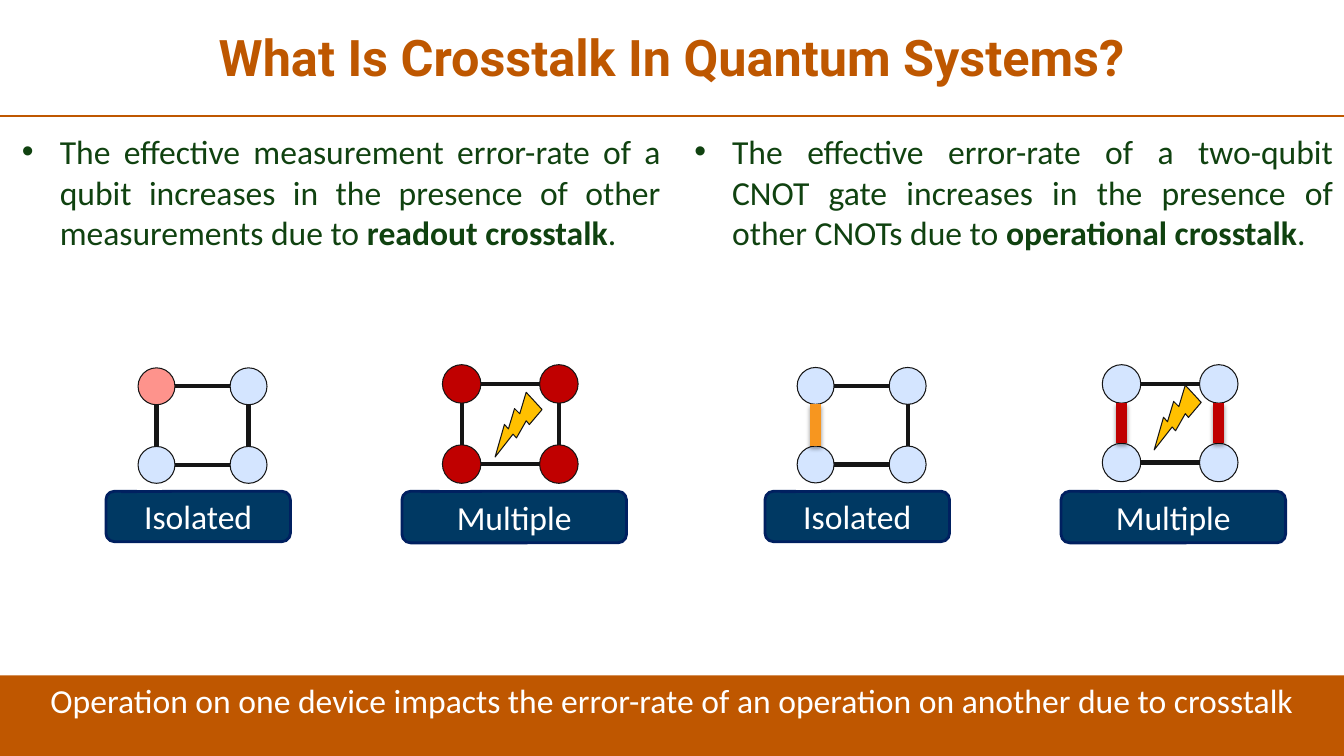
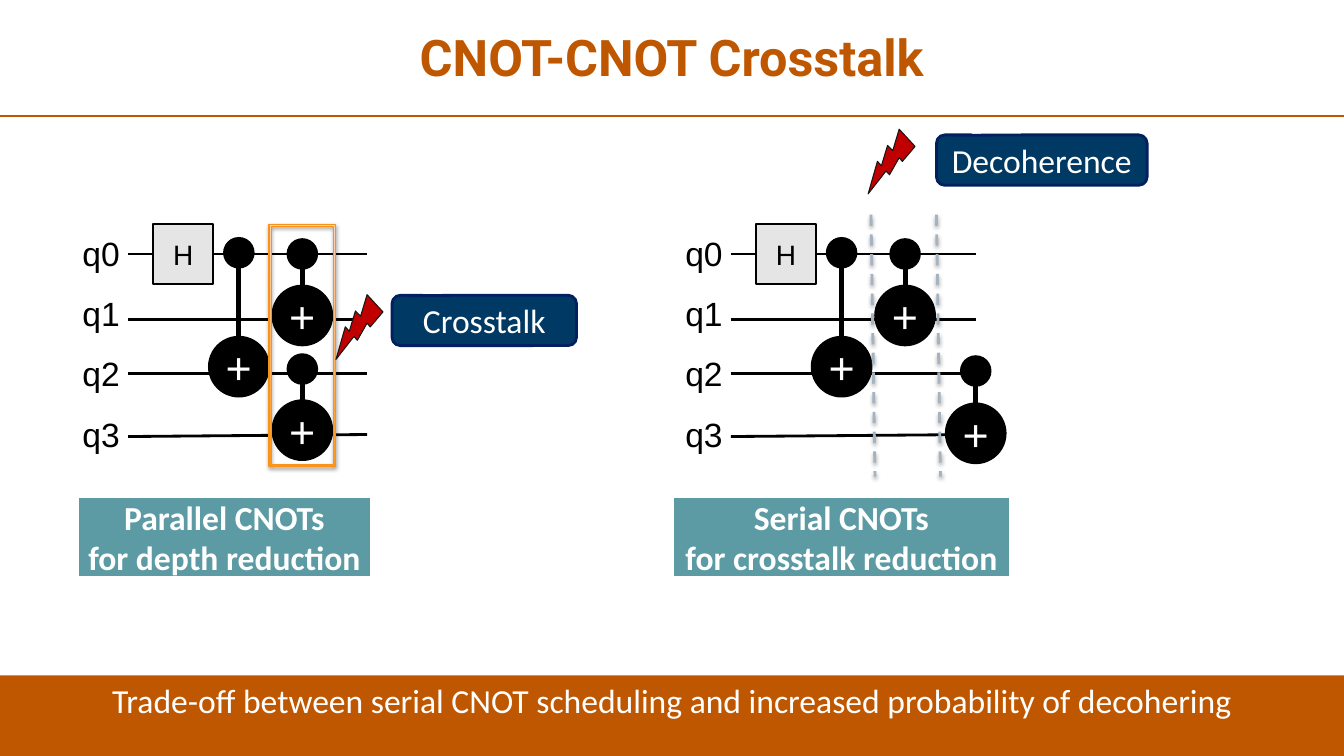
from dataclasses import dataclass
from typing import Optional

from lxml import etree
from pptx import Presentation
from pptx.dml.color import RGBColor
from pptx.enum.dml import MSO_LINE
from pptx.enum.shapes import MSO_CONNECTOR, MSO_SHAPE
from pptx.enum.text import MSO_ANCHOR, MSO_AUTO_SIZE, PP_ALIGN
from pptx.oxml.ns import qn
from pptx.util import Cm, Pt

STRAIGHT = MSO_CONNECTOR.STRAIGHT
DASH = MSO_LINE.DASH
RECT, OVAL, BOLT = MSO_SHAPE.RECTANGLE, MSO_SHAPE.OVAL, MSO_SHAPE.LIGHTNING_BOLT
FRAME, NOTE = MSO_SHAPE.FRAME, MSO_SHAPE.ROUNDED_RECTANGULAR_CALLOUT
TOP, MIDDLE = MSO_ANCHOR.TOP, MSO_ANCHOR.MIDDLE
LEFT, CENTER, JUSTIFY = PP_ALIGN.LEFT, PP_ALIGN.CENTER, PP_ALIGN.JUSTIFY
FIXED = MSO_AUTO_SIZE.NONE

WIDE, HIGH = 33.87, 19.05
RUST, TITLE, GREEN = "BF5700", "BE5700", "104210"
NAVY, EDGE, TEAL = "003963", "002060", "5C9BA4"
BLACK, INK, WHITE, GRAY = "000000", "151515", "FFFFFF", "E5E5E5"
PALE, PINK, RED = "D4E5FF", "FE938C", "C00000"
GOLD, AMBER, MIST = "FFC000", "F7961F", "A4B3BF"
SANS, PLAIN, HEAD = "Calibri", "Arial", "Roboto"


@dataclass
class Grid:
    left: float
    top: float
    size: float
    wide: float
    high: float
    dots: tuple[str, str, str, str] = (PALE,) * 4
    bars: tuple[Optional[str], Optional[str]] = (None, None)


@dataclass
class Panel:
    shift: float
    lead: str
    term: str
    lone: Grid
    many: Grid


@dataclass
class Gate:
    mid: float
    dot: float
    plus: float


@dataclass
class Track:
    shift: float
    end: float
    last: Gate


@dataclass
class Label:
    text: str
    left: float
    top: float
    wide: float
    high: float = 1.27


def tint(code: str) -> RGBColor:
    return RGBColor.from_string(code)


def style(para, face: str, size: int, hue: str, bold: bool = False) -> None:
    para.font.name = face
    para.font.size = Pt(size)
    para.font.bold = bold
    para.font.color.rgb = tint(hue)


def place(shape, left: float, top: float, wide: float, high: float) -> None:
    shape.left, shape.top = Cm(left), Cm(top)
    shape.width, shape.height = Cm(wide), Cm(high)


def shade(effects) -> None:
    drop = etree.SubElement(effects, qn("a:outerShdw"), blurRad=str(Pt(3.1)),
                            dist=str(Pt(1.6)), dir="5400000", rotWithShape="0")
    hue = etree.SubElement(drop, qn("a:srgbClr"), val=BLACK)
    etree.SubElement(hue, qn("a:alpha"), val="38000")


def link(slide, x1: float, y1: float, x2: float, y2: float, hue: str,
         width: float, dash: bool = False, glow: bool = False) -> None:
    line = slide.shapes.add_connector(STRAIGHT, Cm(x1), Cm(y1), Cm(x2), Cm(y2))
    line.line.color.rgb = tint(hue)
    line.line.width = Pt(width)
    if dash:
        line.line.dash_style = DASH
    effects = etree.SubElement(line.element.spPr, qn("a:effectLst"))
    if glow:
        shade(effects)


def draw(slide, kind, left: float, top: float, wide: float, high: float,
         fill: str, edge: Optional[str] = None, width: float = 1):
    shape = slide.shapes.add_shape(kind, Cm(left), Cm(top), Cm(wide), Cm(high))
    shape.shadow.inherit = False
    shape.fill.solid()
    shape.fill.fore_color.rgb = tint(fill)
    if edge:
        shape.line.color.rgb = tint(edge)
        shape.line.width = Pt(width)
    else:
        shape.line.fill.background()
    return shape


def write(shape, text: str, size: int = 24, face: str = SANS, hue: str = WHITE,
          bold: bool = False, align=CENTER, anchor=MIDDLE) -> None:
    frame = shape.text_frame
    frame.text = text
    frame.word_wrap = False
    frame.vertical_anchor = anchor
    frame.margin_left = frame.margin_right = 0
    for para in frame.paragraphs:
        para.alignment = align
        style(para, face, size, hue, bold)


def start(deck, layout: int, title: str, foot: str):
    slide = deck.slides.add_slide(deck.slide_layouts[layout])
    head = slide.shapes.title
    place(head, 0.23, 0.1, 33.4, 2.82)
    head.text_frame.text = title
    head.text_frame.auto_size = FIXED
    head.text_frame.vertical_anchor = MIDDLE
    para = head.text_frame.paragraphs[0]
    para.alignment = CENTER
    para.line_spacing = 0.9
    style(para, HEAD, 36, TITLE, True)
    link(slide, 0, 2.92, WIDE, 2.92, RUST, 1.5)
    band = draw(slide, RECT, 0, 17.02, WIDE, 2.03, RUST)
    write(band, foot, anchor=TOP)
    return slide


def point(slide, body, left: float, lead: str, term: str) -> None:
    place(body, left, 3.18, 16.61, 3.33)
    body.text_frame.auto_size = FIXED
    para = body.text_frame.paragraphs[0]
    para.alignment = JUSTIFY
    para.space_before = Pt(0)
    style(para, SANS, 24, GREEN)
    for text in (lead, term, "."):
        run = para.add_run()
        run.text = text
        if text == term:
            run.font.bold = True


def badge(slide, label: Label) -> None:
    note = draw(slide, NOTE, label.left, label.top, label.wide, label.high,
                NAVY, EDGE, 2)
    for i, value in enumerate((-0.415, -0.491, 0.167)):
        note.adjustments[i] = value
    write(note, label.text)


def flash(slide, left: float, top: float, hue: str) -> None:
    bolt = draw(slide, BOLT, left, top, 1.35, 1.47, hue, INK, 0.75)
    bolt.rotation = 73.9


def lattice(slide, grid: Grid, shift: float) -> None:
    left, half = grid.left + shift, grid.size / 2
    for i, hue in enumerate(grid.dots):
        row, col = divmod(i, 2)
        draw(slide, OVAL, left + col * grid.wide, grid.top + row * grid.high,
             grid.size, grid.size, hue, INK, 0.75)
    for row in range(2):
        y = grid.top + row * grid.high + half
        link(slide, left + grid.size, y, left + grid.wide, y, INK, 3)
    for col, bar in enumerate(grid.bars):
        x = left + col * grid.wide + half
        link(slide, x, grid.top + grid.size, x, grid.top + grid.high,
             bar or INK, 8 if bar else 3, glow=bool(bar))


def cnot(slide, gate: Gate, shift: float) -> None:
    mid = gate.mid + shift
    draw(slide, OVAL, mid - 0.38, gate.dot, 0.76, 0.76, BLACK, BLACK)
    link(slide, mid, gate.dot + 0.76, mid, gate.plus, BLACK, 3.75)
    ball = draw(slide, OVAL, mid - 0.76, gate.plus, 1.52, 1.52, BLACK, BLACK)
    write(ball, "+", 32, PLAIN)


def circuit(slide, track: Track) -> None:
    shift = track.shift
    for y1, y2 in ((6.4, 6.4), (8.05, 8.05), (9.42, 9.42), (11, 10.95)):
        link(slide, 3.23 + shift, y1, track.end, y2, BLACK, 2)
    for gate in (Gate(6.02, 5.99, 8.48), Gate(7.62, 6.02, 7.19), track.last):
        cnot(slide, gate, shift)
    box = draw(slide, RECT, 3.86 + shift, 5.64, 1.52, 1.52, GRAY, BLACK, 1.5)
    write(box, "H", 20, PLAIN, BLACK)
    for i in range(4):
        name = slide.shapes.add_textbox(Cm(2.08 + shift), Cm(5.74 + i * 1.52),
                                        Cm(1.02), Cm(1.27))
        write(name, f"q{i}", 24, PLAIN, BLACK, align=LEFT, anchor=TOP)


def first(deck) -> None:
    slide = start(deck, 3, "What Is Crosstalk In Quantum Systems?",
                  "Operation on one device impacts the error-rate of an "
                  "operation on another due to crosstalk")
    panels = (
        Panel(0, "The effective measurement error-rate of a qubit increases in "
              "the presence of other measurements due to ", "readout crosstalk",
              Grid(3.48, 9.27, 0.93, 2.32, 1.98, (PINK, PALE, PALE, PALE)),
              Grid(11.15, 9.19, 0.97, 2.45, 2.02, (RED,) * 4)),
        Panel(16.61, "The effective error-rate of a two-qubit CNOT gate "
              "increases in the presence of other CNOTs due to ",
              "operational crosstalk",
              Grid(3.48, 9.26, 0.93, 2.32, 1.98, bars=(AMBER, None)),
              Grid(11.17, 9.19, 0.97, 2.45, 1.98, bars=(RED, RED))),
    )
    bodies = list(slide.placeholders)[1:]
    for panel, body, top in zip(panels, bodies, (9.93, 9.75)):
        shift = panel.shift
        point(slide, body, 0.3 + shift * 1.02, panel.lead, panel.term)
        lattice(slide, panel.lone, shift)
        lattice(slide, panel.many, shift)
        flash(slide, 12.32 + shift, top, GOLD)
        badge(slide, Label("Isolated", 2.67 + shift, 12.38, 4.65))
        badge(slide, Label("Multiple", 10.13 + shift, 12.38, 5.66, 1.3))


def second(deck) -> None:
    slide = start(deck, 5, "CNOT-CNOT Crosstalk",
                  "Trade-off between serial CNOT scheduling and increased "
                  "probability of decohering")
    for track in (Track(0, 9.25, Gate(7.62, 8.92, 10.08)),
                  Track(15.19, 24.59, Gate(9.4, 8.97, 10.16))):
        circuit(slide, track)
    ring = draw(slide, FRAME, 6.78, 5.66, 1.68, 6.1, AMBER, "F79319", 0.75)
    ring.adjustments[0] = 0.036
    ring.fill.gradient()
    ring.fill.gradient_angle = 90
    for stop, hue in zip(ring.fill.gradient_stops, ("FF9717", "FFD2B9")):
        stop.color.rgb = tint(hue)
    shade(ring.element.spPr.find(qn("a:effectLst")))
    for label in (
            Label("Parallel CNOTs\nfor depth reduction", 1.96, 12.52, 7.39, 2.03),
            Label("Serial CNOTs\nfor crosstalk reduction", 16.94, 12.52, 8.53, 2.03)):
        card = draw(slide, RECT, label.left, label.top, label.wide, label.high,
                    TEAL, WHITE, 2)
        write(card, label.text, bold=True)
    flash(slide, 8.31, 7.47, RED)
    flash(slide, 21.72, 3.3, RED)
    badge(slide, Label("Crosstalk", 9.88, 7.44, 4.65))
    badge(slide, Label("Decoherence", 23.6, 3.4, 5.31))
    for x in (21.95, 23.6):
        link(slide, x, 5.41, x + 0.1, 12.01, MIST, 2, dash=True, glow=True)


def main() -> None:
    deck = Presentation()
    deck.slide_width, deck.slide_height = Cm(WIDE), Cm(HIGH)
    first(deck)
    second(deck)
    deck.save("out.pptx")


if __name__ == "__main__":
    main()
